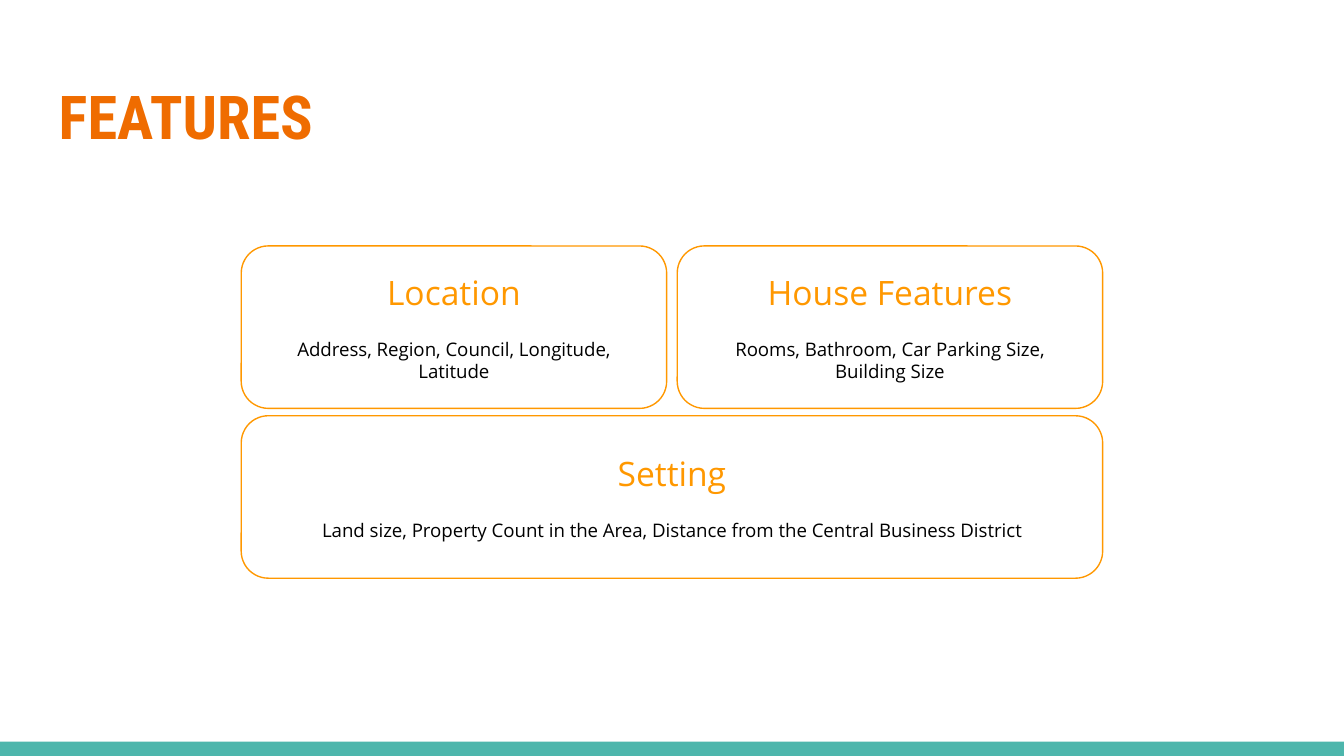
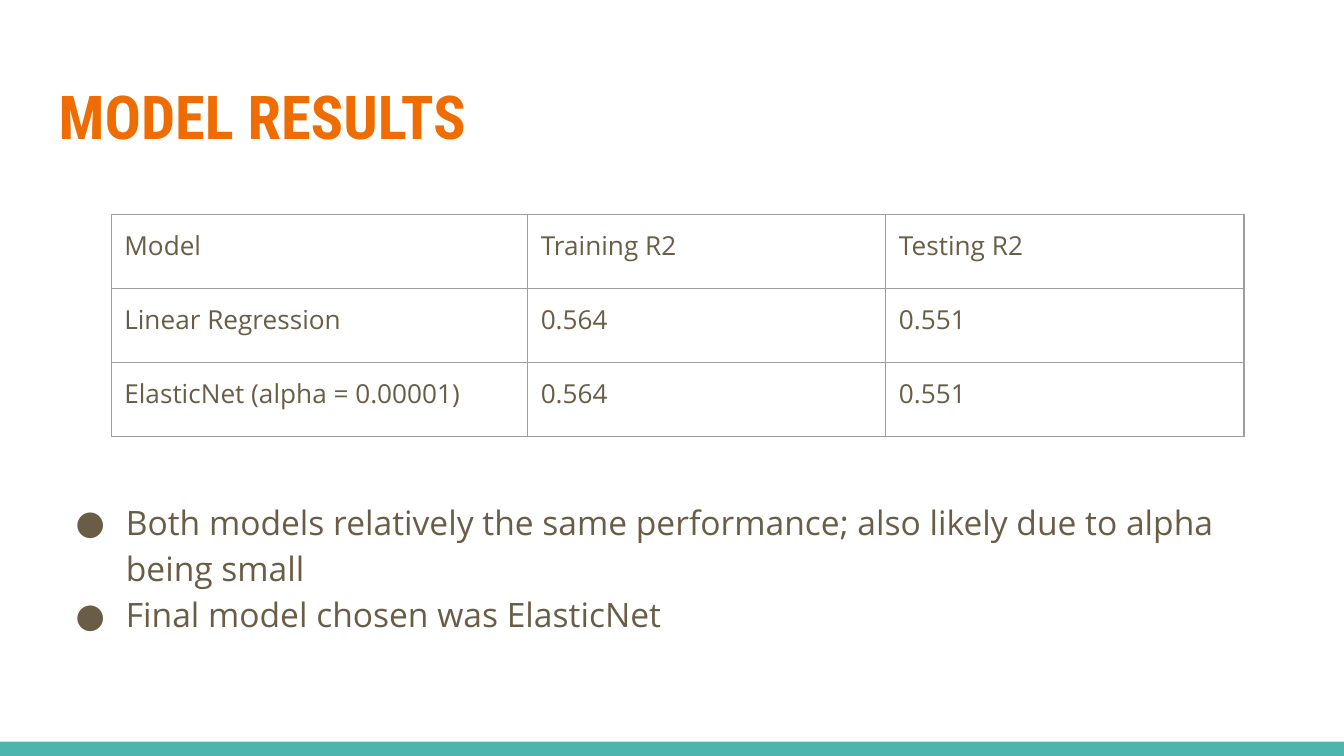
"""Builds two slides on housing price features and model results."""
from lxml import etree
from pptx import Presentation
from pptx import util as u
from pptx.dml import color
from pptx.enum import shapes, text
from pptx.oxml import ns

FEATURES = [
    [("Location", "Address, Region, Council, Longitude, Latitude"),
     ("House Features", "Rooms, Bathroom, Car Parking Size, Building Size")],
    [("Setting", "Land size, Property Count in the Area, "
                 "Distance from the Central Business District")],
]
RESULTS = [
    ("Model", "Training R2", "Testing R2"),
    ("Linear Regression", "0.564", "0.551"),
    ("ElasticNet (alpha = 0.00001)", "0.564", "0.551"),
]
FINDINGS = [
    "Both models relatively the same performance; also likely due to alpha being small",
    "Final model chosen was ElasticNet",
]

COLORS = {"title": "EF6C00", "band": "4DB6AC", "card": "FF9800", "detail": "000000",
          "body": "695D46", "border": "9E9E9E"}
TITLE_FONT, BODY_FONT = "Roboto Condensed", "Open Sans"
WIDTH, HEIGHT = u.Cm(25.4), u.Cm(14.29)
BAND_HEIGHT = u.Cm(0.27)
MARGIN, CONTENT_WIDTH = u.Cm(0.86), u.Cm(23.67)
INSET = u.Cm(0.25)
CARD_LEFT, CARD_TOP = u.Cm(4.56), u.Cm(4.65)
CARDS_WIDTH, CARD_HEIGHT = u.Cm(16.28), u.Cm(3.07)
CARD_GAP_X, CARD_GAP_Y = u.Cm(0.2), u.Cm(0.14)
TABLE_LEFT, TABLE_TOP = u.Cm(2.1), u.Cm(4.05)
COLUMN_WIDTHS = [u.Cm(7.87), u.Cm(6.77), u.Cm(6.77)]
ROW_HEIGHT = u.Cm(1.4)


def rgb(name):
    return color.RGBColor.from_string(COLORS[name])


def style(paragraph, size, color_name, font=BODY_FONT, bold=False):
    for run in paragraph.runs:
        run.font.size, run.font.name, run.font.bold = u.Pt(size), font, bold
        run.font.color.rgb = rgb(color_name)


def set_insets(target):
    target.margin_left = target.margin_right = INSET
    target.margin_top = target.margin_bottom = INSET


def prepare_frame(frame, anchor=text.MSO_ANCHOR.TOP):
    frame.word_wrap = True
    frame.auto_size = text.MSO_AUTO_SIZE.NONE
    frame.vertical_anchor = anchor
    set_insets(frame)


def add_slide(presentation, heading):
    slide = presentation.slides.add_slide(presentation.slide_layouts[5])
    band = slide.shapes.add_shape(shapes.MSO_SHAPE.RECTANGLE, 0, HEIGHT - BAND_HEIGHT,
                                  WIDTH, BAND_HEIGHT)
    band.shadow.inherit = False
    band.fill.solid()
    band.fill.fore_color.rgb = rgb("band")
    band.line.fill.background()
    title = slide.shapes.title
    title.left, title.top = MARGIN, u.Cm(1.25)
    title.width, title.height = CONTENT_WIDTH, u.Cm(1.95)
    title.text_frame.text = heading
    prepare_frame(title.text_frame)
    paragraph = title.text_frame.paragraphs[0]
    paragraph.alignment = text.PP_ALIGN.LEFT
    style(paragraph, 32.4, "title", TITLE_FONT, True)
    return slide


def add_card(slide, box, heading, detail):
    card = slide.shapes.add_shape(shapes.MSO_SHAPE.ROUNDED_RECTANGLE, *box)
    card.shadow.inherit = False
    card.fill.background()
    card.line.color.rgb = rgb("card")
    card.line.width = u.Pt(0.75)
    frame = card.text_frame
    frame.text = f"{heading}\n{detail}"
    prepare_frame(frame, text.MSO_ANCHOR.MIDDLE)
    for paragraph, size, name in zip(frame.paragraphs, (18, 10), ("card", "detail")):
        paragraph.alignment = text.PP_ALIGN.CENTER
        style(paragraph, size, name)
    frame.paragraphs[1].space_before = u.Pt(13.6)


def add_cards(slide):
    for row, cards in enumerate(FEATURES):
        width = (CARDS_WIDTH - CARD_GAP_X * (len(cards) - 1)) // len(cards)
        top = CARD_TOP + row * (CARD_HEIGHT + CARD_GAP_Y)
        for column, (heading, detail) in enumerate(cards):
            left = CARD_LEFT + column * (width + CARD_GAP_X)
            add_card(slide, (left, top, width, CARD_HEIGHT), heading, detail)


def add_borders(cell):
    properties = cell._tc.get_or_add_tcPr()
    for position, side in enumerate(("a:lnL", "a:lnR", "a:lnT", "a:lnB")):
        line = etree.Element(ns.qn(side), w=str(u.Pt(0.75)))
        fill = etree.SubElement(line, ns.qn("a:solidFill"))
        etree.SubElement(fill, ns.qn("a:srgbClr"), val=COLORS["border"])
        properties.insert(position, line)


def add_results(slide):
    table = slide.shapes.add_table(len(RESULTS), len(COLUMN_WIDTHS), TABLE_LEFT, TABLE_TOP,
                                   sum(COLUMN_WIDTHS), ROW_HEIGHT * len(RESULTS)).table
    table.first_row = table.horz_banding = False
    for column, width in zip(table.columns, COLUMN_WIDTHS):
        column.width = width
    for row, values in zip(table.rows, RESULTS):
        row.height = ROW_HEIGHT
        for cell, value in zip(row.cells, values):
            cell.text_frame.text = value
            set_insets(cell)
            cell.fill.background()
            style(cell.text_frame.paragraphs[0], 14, "body")
            add_borders(cell)


def add_bullet(paragraph):
    properties = paragraph._p.get_or_add_pPr()
    properties.set("marL", str(u.Cm(1.27)))
    properties.set("indent", str(-u.Cm(0.95)))
    bullet_color = etree.SubElement(properties, ns.qn("a:buClr"))
    etree.SubElement(bullet_color, ns.qn("a:srgbClr"), val=COLORS["body"])
    etree.SubElement(properties, ns.qn("a:buFont"), typeface=BODY_FONT)
    etree.SubElement(properties, ns.qn("a:buChar"), char="●")


def add_findings(slide):
    frame = slide.shapes.add_textbox(MARGIN, u.Cm(9.12), CONTENT_WIDTH, u.Cm(3.56)).text_frame
    frame.text = "\n".join(FINDINGS)
    prepare_frame(frame)
    for paragraph in frame.paragraphs:
        paragraph.line_spacing = 1.15
        style(paragraph, 18, "body")
        add_bullet(paragraph)


def main():
    presentation = Presentation()
    presentation.slide_width, presentation.slide_height = WIDTH, HEIGHT
    add_cards(add_slide(presentation, "FEATURES"))
    results = add_slide(presentation, "MODEL RESULTS")
    add_findings(results)
    add_results(results)
    presentation.save("out.pptx")


if __name__ == "__main__":
    main()
